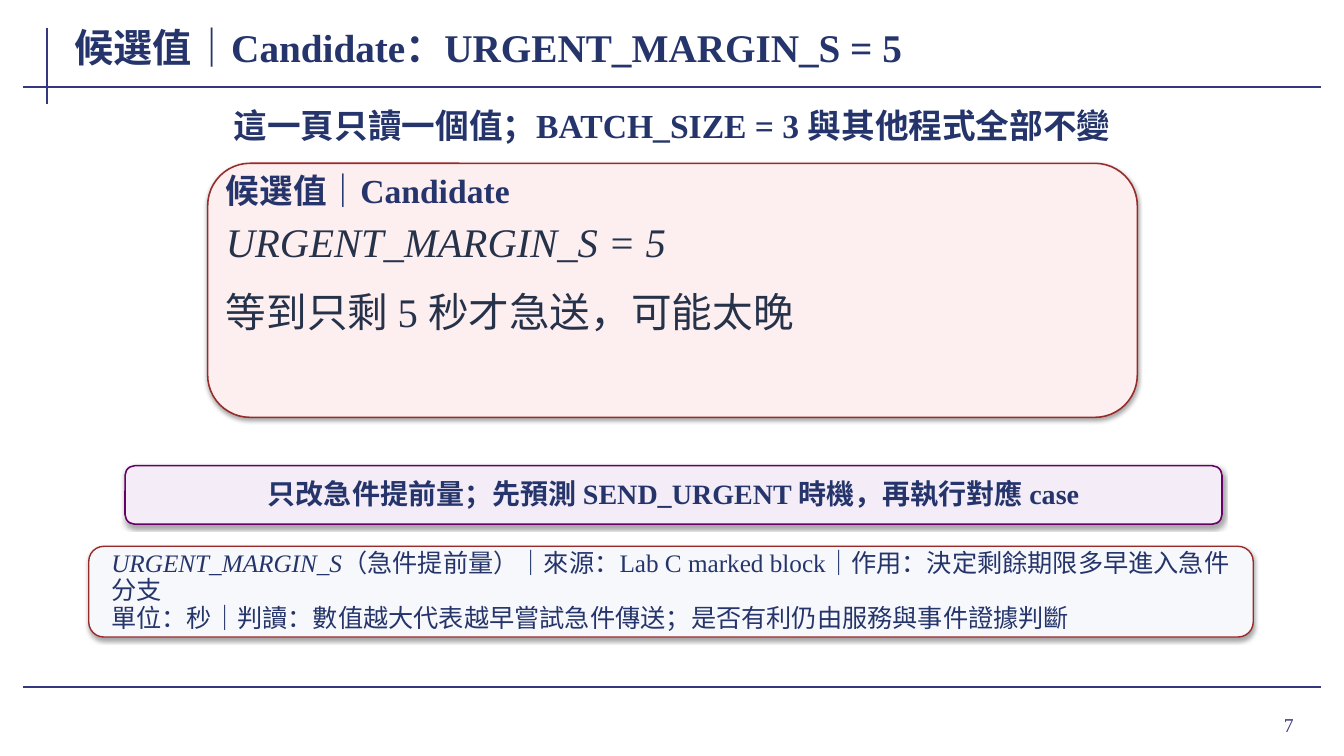
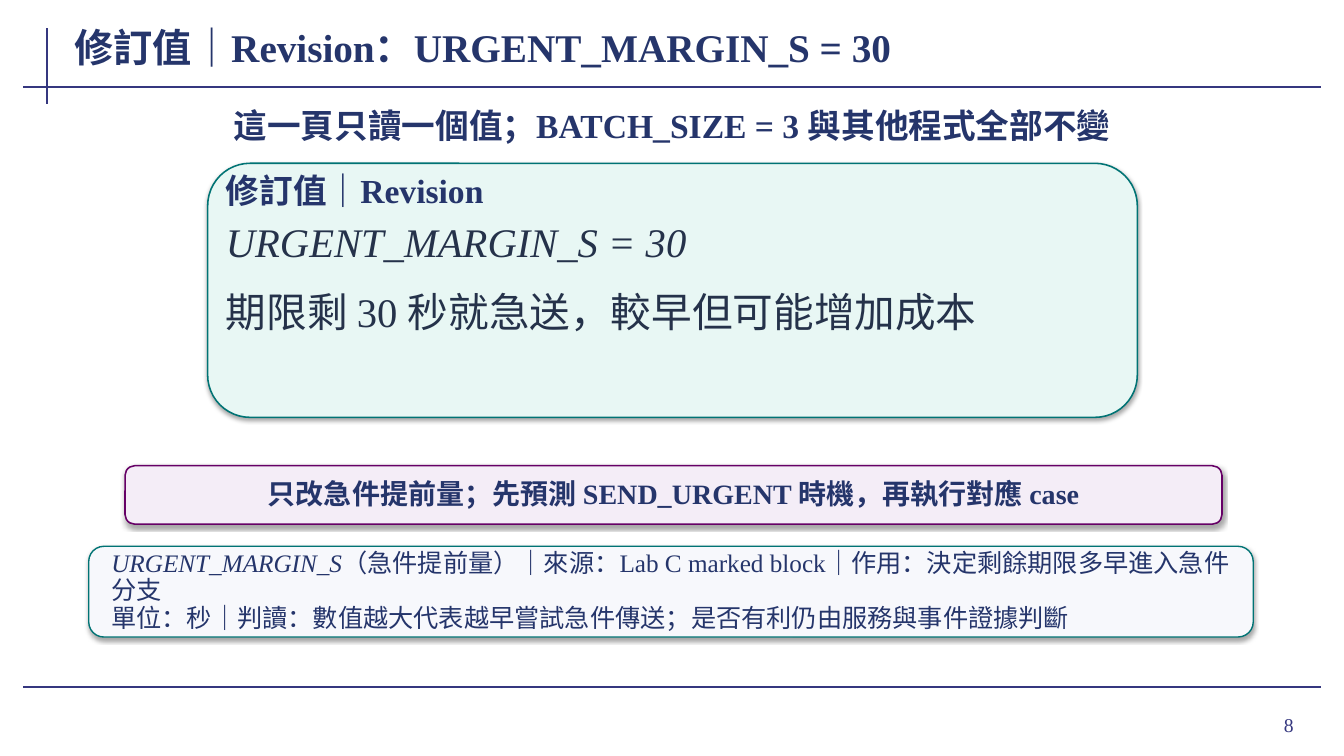
import pptx
import pptx.dml.color
import pptx.enum.shapes
import pptx.enum.text
import pptx.oxml
import pptx.oxml.ns
import pptx.util
from pptx.util import Inches

FONT = "Times New Roman"
NAVY, INK, FRAME = "25356B", "25324A", "35377F"
LEFT = pptx.enum.text.PP_ALIGN.LEFT
CENTER = pptx.enum.text.PP_ALIGN.CENTER
RIGHT = pptx.enum.text.PP_ALIGN.RIGHT
TOP = pptx.enum.text.MSO_ANCHOR.TOP
MIDDLE = pptx.enum.text.MSO_ANCHOR.MIDDLE

FRAME_LINES = [
    (0.47, 0.28, 0.47, 1.03),
    (0.23, 0.86, 13.1, 0.86),
    (0.23, 6.82, 13.1, 6.82),
]
SHADOW = (
    f'<a:outerShdw {pptx.oxml.ns.nsdecls("a")} blurRad="39370" dist="22860" '
    'dir="5400000" rotWithShape="0"><a:srgbClr val="000000">'
    '<a:alpha val="35000"/></a:srgbClr></a:outerShdw>'
)

FIRST_NUMBER = 7
VALUES = [
    {"label": "候選值｜Candidate", "setting": "URGENT_MARGIN_S = 5",
     "meaning": "等到只剩 5 秒才急送，可能太晚",
     "fill": "FDEFEF", "line": "992A2A"},
    {"label": "修訂值｜Revision", "setting": "URGENT_MARGIN_S = 30",
     "meaning": "期限剩 30 秒就急送，較早但可能增加成本",
     "fill": "E8F7F4", "line": "007374"},
]


def color(hex_value):
    return pptx.dml.color.RGBColor.from_string(hex_value)


def write(shape, paragraphs, size, hex_value=NAVY, bold=False, align=LEFT,
          anchor=TOP, spacing=1.0, insets=(0.02, 0.01), gap=0):
    """Fill a shape with paragraphs, each a list of (text, italic) runs."""
    frame = shape.text_frame
    frame.word_wrap = True
    frame.auto_size = pptx.enum.text.MSO_AUTO_SIZE.NONE
    frame.vertical_anchor = anchor
    frame.margin_left = frame.margin_right = Inches(insets[0])
    frame.margin_top = frame.margin_bottom = Inches(insets[1])
    for index, runs in enumerate(paragraphs):
        paragraph = frame.add_paragraph() if index else frame.paragraphs[0]
        paragraph.alignment = align
        paragraph.line_spacing = spacing
        paragraph.space_before = pptx.util.Pt(gap if index else 0)
        for text, italic in runs:
            run = paragraph.add_run()
            run.text = text
            run.font.name = FONT
            run.font.size = pptx.util.Pt(size)
            run.font.bold = bold
            run.font.italic = italic
            run.font.color.rgb = color(hex_value)


def add_text(slide, box, paragraphs, size, **style):
    write(slide.shapes.add_textbox(*map(Inches, box)), paragraphs, size, **style)


def add_card(slide, box, fill, line, width=1.1):
    """Add a rounded rectangle with a soft shadow below it."""
    card = slide.shapes.add_shape(
        pptx.enum.shapes.MSO_SHAPE.ROUNDED_RECTANGLE, *map(Inches, box))
    card.fill.solid()
    card.fill.fore_color.rgb = color(fill)
    card.line.color.rgb = color(line)
    card.line.width = pptx.util.Pt(width)
    card.shadow.inherit = False
    effects = card.element.spPr.find(pptx.oxml.ns.qn("a:effectLst"))
    effects.append(pptx.oxml.parse_xml(SHADOW))
    return card


def add_frame_lines(slide):
    """Draw the shared lines and move them to the layout of the slide."""
    for ends in FRAME_LINES:
        line = slide.shapes.add_connector(
            pptx.enum.shapes.MSO_CONNECTOR.STRAIGHT, *map(Inches, ends))
        line.line.color.rgb = color(FRAME)
        line.line.width = pptx.util.Pt(1.5)
        line.element.spPr.append(pptx.oxml.parse_xml(
            f'<a:effectLst {pptx.oxml.ns.nsdecls("a")}/>'))
        slide.slide_layout.shapes.element.append(line.element)


def add_title(slide, text):
    title = slide.shapes.title
    title.left, title.top, title.width, title.height = map(
        Inches, (0.72, 0.2, 10.35, 0.53))
    write(title, [[(text, False)]], 28, bold=True, anchor=MIDDLE, insets=(0.02, 0))


def add_value_card(slide, value):
    add_card(slide, (2.06, 1.62, 9.22, 2.52), value["fill"], value["line"])
    add_text(slide, (2.22, 1.72, 8.9, 0.46), [[(value["label"], False)]], 24,
             bold=True, spacing=0.9)
    add_text(slide, (2.22, 2.2, 8.9, 1.86),
             [[(value["setting"], True)], [(value["meaning"], False)]], 29,
             hex_value=INK, spacing=0.9, gap=18.5)


def add_task_bar(slide):
    bar = add_card(slide, (1.24, 4.62, 10.88, 0.58), "F4EDF7", "660066")
    write(bar, [[("只改急件提前量；先預測 SEND_URGENT 時機，再執行對應 case", False)]], 20,
          bold=True, align=CENTER, anchor=MIDDLE, spacing=0.95, insets=(0.12, 0.04))


def add_definition(slide, line):
    card = add_card(slide, (0.88, 5.42, 11.55, 0.9), "F7F8FC", line, width=1)
    write(card, [
        [("URGENT_MARGIN_S", True),
         ("（急件提前量）｜來源：Lab C marked block｜作用：決定剩餘期限多早進入急件分支", False)],
        [("單位：秒｜判讀：數值越大代表越早嘗試急件傳送；是否有利仍由服務與事件證據判斷", False)],
    ], 18, anchor=MIDDLE, spacing=0.9, insets=(0.18, 0.03))


def add_value_slide(presentation, value, number):
    slide = presentation.slides.add_slide(presentation.slide_layouts[5])
    add_title(slide, f'{value["label"]}：{value["setting"]}')
    add_text(slide, (0.94, 0.98, 11.45, 0.52),
             [[("這一頁只讀一個值；BATCH_SIZE = 3 與其他程式全部不變", False)]], 24,
             bold=True, align=CENTER, anchor=MIDDLE)
    add_value_card(slide, value)
    add_task_bar(slide)
    add_definition(slide, value["line"])
    add_text(slide, (11.96, 6.93, 0.97, 0.52), [[(str(number), False)]], 14,
             hex_value=FRAME, align=RIGHT, anchor=MIDDLE, insets=(0.1, 0.05))
    return slide


def main():
    presentation = pptx.Presentation()
    presentation.slide_width = Inches(13.33)
    presentation.slide_height = Inches(7.5)
    slides = [add_value_slide(presentation, value, number)
              for number, value in enumerate(VALUES, FIRST_NUMBER)]
    add_frame_lines(slides[0])
    presentation.save("out.pptx")


if __name__ == "__main__":
    main()
